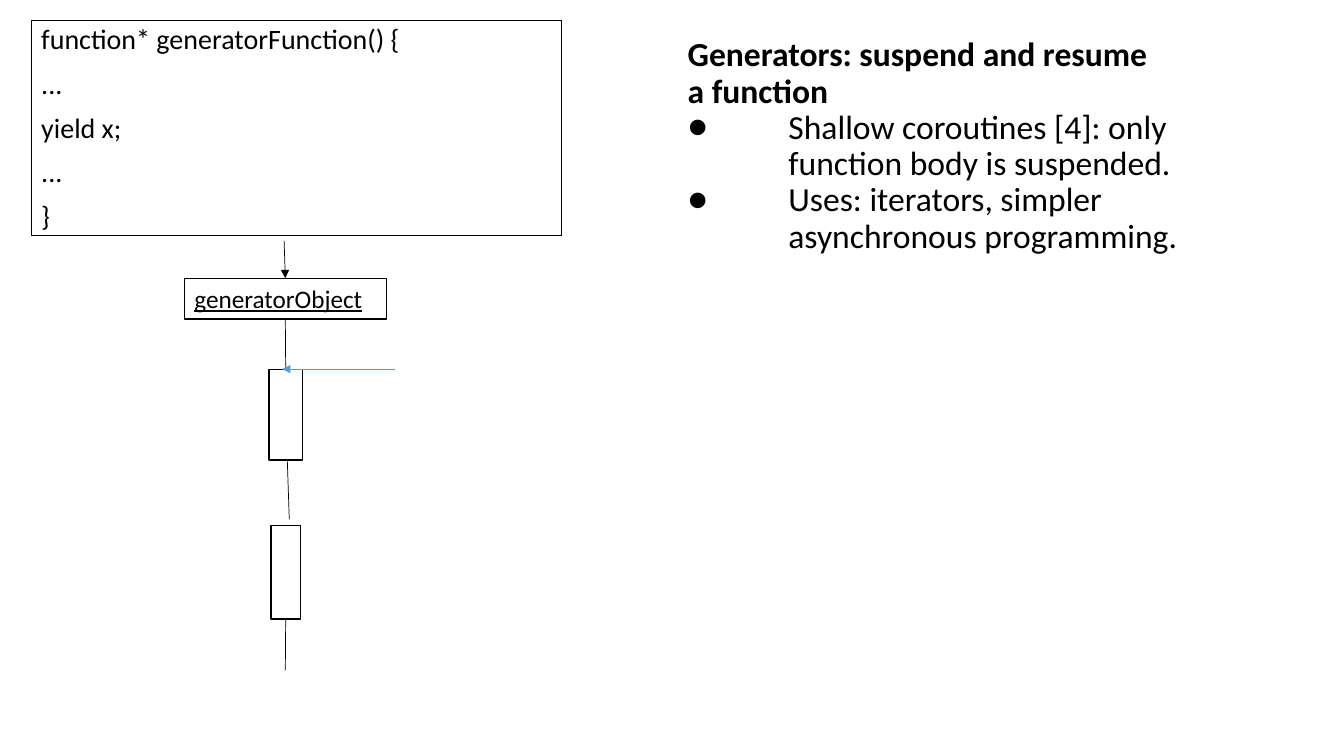
from dataclasses import dataclass
from typing import Optional

from lxml import etree
from pptx import Presentation
from pptx.dml.color import RGBColor
from pptx.enum import shapes, text
from pptx.oxml import ns
from pptx.util import Cm, Pt

FONT = "Calibri"
BLACK = "000000"
WHITE = "FFFFFF"
BLUE = "5B9BD5"
TOP, BOTTOM = 0, 2
BULLET_INDENT = Cm(2.54)


@dataclass
class Box:
    key: str
    left: float
    top: float
    width: float
    height: float
    fill: Optional[str] = None
    line_width: float = 1


@dataclass
class Link:
    start: tuple[float, float]
    end: tuple[float, float]
    from_box: Optional[str] = None
    to_box: Optional[str] = None
    color: str = BLACK
    arrow: bool = False


BOXES = [
    Box("code", 0.79, 0.52, 13.36, 5.42, WHITE),
    Box("object", 4.65, 7.01, 5.08, 1.03, line_width=0.75),
    Box("first run", 6.78, 9.31, 0.84, 2.28),
    Box("second run", 6.83, 13.24, 0.74, 2.36, WHITE),
]

LINKS = [
    Link((7.24, 11.59), (7.29, 13.09)),
    Link((7.2, 15.6), (7.19, 16.89), from_box="second run"),
    Link((7.19, 8.04), (7.2, 9.31), from_box="object", to_box="first run"),
    Link((9.96, 9.3), (7.11, 9.3), color=BLUE, arrow=True),
    Link((7.16, 6.07), (7.19, 7.01), to_box="object", arrow=True),
]

CODE = ["function* generatorFunction() {", "...", "yield x;", "...", "}"]
HEADING = ["Generators: suspend and resume", "a function"]
BULLETS = [
    ["Shallow coroutines [4]: only", "function body is suspended."],
    ["Uses: iterators, simpler", "asynchronous programming."],
]


def rgb(color: str) -> RGBColor:
    return RGBColor.from_string(color)


def add_lines(paragraph, lines: list[str], size: float, bold: bool = False,
              underline: bool = False) -> None:
    """Add one run per line, with line breaks between them."""
    paragraph.alignment = text.PP_ALIGN.LEFT
    for index, line in enumerate(lines):
        if index:
            paragraph.add_line_break()
        run = paragraph.add_run()
        run.text = line
        run.font.name = FONT
        run.font.size = Pt(size)
        run.font.bold = bold
        run.font.underline = underline
        run.font.color.rgb = rgb(BLACK)


def next_paragraph(frame, index: int):
    return frame.add_paragraph() if index else frame.paragraphs[0]


def add_bullet(paragraph) -> None:
    properties = paragraph._p.get_or_add_pPr()
    properties.set("marL", str(BULLET_INDENT))
    properties.set("indent", str(-BULLET_INDENT))
    etree.SubElement(properties, ns.qn("a:buFont")).set("typeface", FONT)
    etree.SubElement(properties, ns.qn("a:buChar")).set("char", "●")


def add_box(slide, box: Box):
    shape = slide.shapes.add_shape(
        shapes.MSO_SHAPE.RECTANGLE,
        Cm(box.left), Cm(box.top), Cm(box.width), Cm(box.height))
    shape.shadow.inherit = False
    if box.fill:
        shape.fill.solid()
        shape.fill.fore_color.rgb = rgb(box.fill)
    else:
        shape.fill.background()
    shape.line.color.rgb = rgb(BLACK)
    shape.line.width = Pt(box.line_width)
    shape.text_frame.word_wrap = True
    shape.text_frame.vertical_anchor = text.MSO_ANCHOR.TOP
    return shape


def add_link(slide, link: Link, boxes: dict) -> None:
    connector = slide.shapes.add_connector(
        shapes.MSO_CONNECTOR.STRAIGHT,
        *(Cm(value) for value in link.start + link.end))
    if link.from_box:
        connector.begin_connect(boxes[link.from_box], BOTTOM)
    if link.to_box:
        connector.end_connect(boxes[link.to_box], TOP)
    connector.line.color.rgb = rgb(link.color)
    connector.line.width = Pt(0.5)
    if link.arrow:
        line = connector.line._get_or_add_ln()
        etree.SubElement(line, ns.qn("a:tailEnd")).set("type", "triangle")
    etree.SubElement(connector._element.spPr, ns.qn("a:effectLst"))


def add_explanation(slide) -> None:
    frame = slide.shapes.add_textbox(
        Cm(17.08), Cm(0.37), Cm(14.17), Cm(6.65)).text_frame
    frame.word_wrap = True
    frame.vertical_anchor = text.MSO_ANCHOR.MIDDLE
    for index, lines in enumerate([HEADING, *BULLETS]):
        paragraph = next_paragraph(frame, index)
        paragraph.line_spacing = 0.9
        add_lines(paragraph, lines, 24, bold=index == 0)
        if index:
            add_bullet(paragraph)


def add_code(frame) -> None:
    for index, line in enumerate(CODE):
        paragraph = next_paragraph(frame, index)
        paragraph.line_spacing = 0.9
        paragraph.space_before = Pt(10)
        add_lines(paragraph, [line], 20)


def main() -> None:
    presentation = Presentation()
    presentation.slide_width = Cm(33.87)
    presentation.slide_height = Cm(19.05)
    slide = presentation.slides.add_slide(presentation.slide_layouts[6])

    add_explanation(slide)
    boxes = {box.key: add_box(slide, box) for box in BOXES}
    add_code(boxes["code"].text_frame)
    add_lines(boxes["object"].text_frame.paragraphs[0],
              ["generatorObject"], 18, underline=True)
    for link in LINKS:
        add_link(slide, link, boxes)

    presentation.save("out.pptx")


if __name__ == "__main__":
    main()
